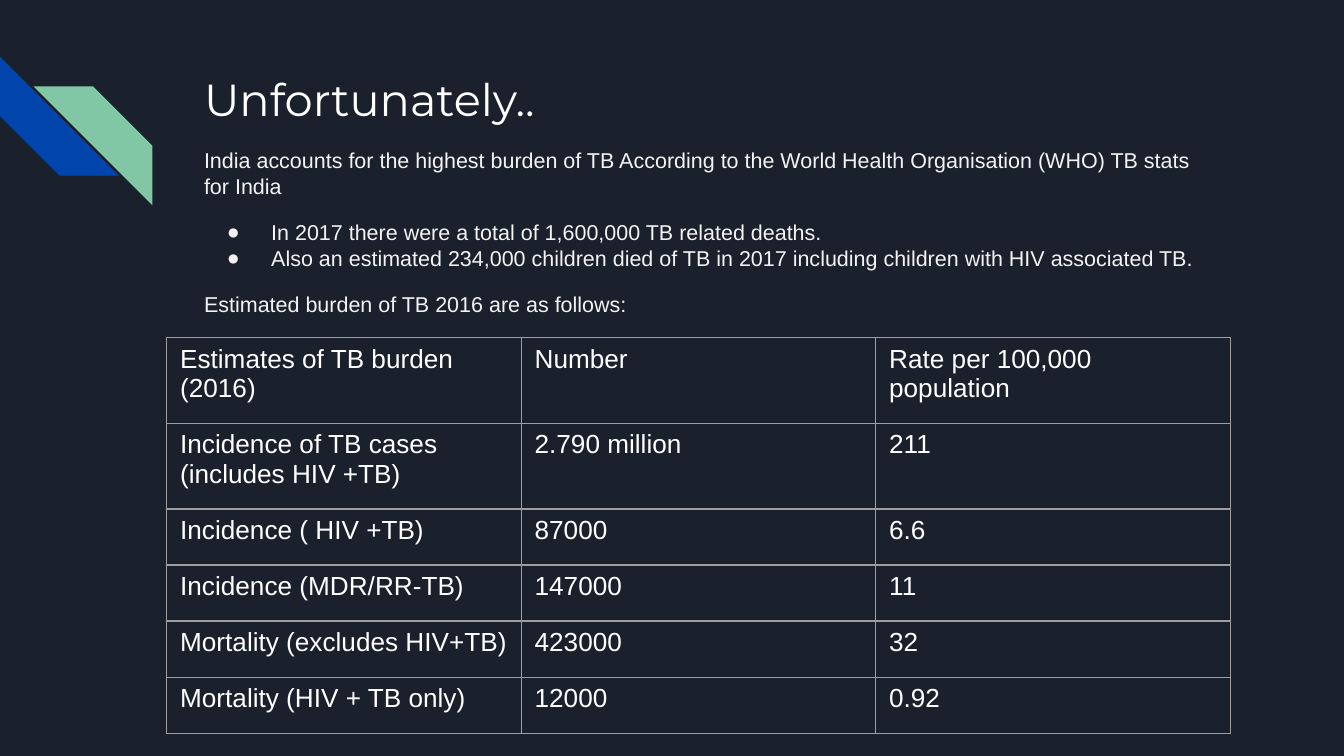
from pptx import Presentation
from pptx.dml.color import RGBColor
from pptx.enum.shapes import MSO_SHAPE
from pptx.enum.text import MSO_ANCHOR
from pptx.oxml.xmlchemy import OxmlElement
from pptx.util import Inches, Pt

COLUMNS, ROWS = 100, 56.25  # square grid cells of 0.1 inch, 16:9


def cells(n):
    return Inches(n / 10)


def color(value):
    return RGBColor.from_string(value)


def add_node(parent, tag, **attrs):
    node = OxmlElement(tag)
    for name, value in attrs.items():
        node.set(name, str(value))
    parent.append(node)
    return node


def write(p, text, size=14, font="Arial", fill="FFFFFF", before=0, bullet=None):
    p.space_before = Pt(before)
    r = p.add_run()
    r.text = text
    r.font.size = Pt(size)
    r.font.name = font
    r.font.color.rgb = color(fill)
    if bullet:
        pPr = p._p.get_or_add_pPr()
        pPr.set("marL", str(Inches(0.5)))
        pPr.set("indent", str(-Inches(0.33)))
        add_node(add_node(pPr, "a:buClr"), "a:srgbClr", val=fill)
        add_node(pPr, "a:buFont", typeface="Arial")
        add_node(pPr, "a:buChar", char=bullet)


class Deck:
    background = "1B212C"
    border = "9E9E9E"

    def __init__(self):
        self.prs = Presentation()
        self.prs.slide_width = cells(COLUMNS)
        self.prs.slide_height = cells(ROWS)

    def add_slide(self):
        self.slide = self.prs.slides.add_slide(self.prs.slide_layouts[6])
        fill = self.slide.background.fill
        fill.solid()
        fill.fore_color.rgb = color(self.background)

    def stripe(self, col, row, side, fill, rotation=0, flip=False):
        sp = self.slide.shapes.add_shape(
            MSO_SHAPE.DIAGONAL_STRIPE, cells(col), cells(row), cells(side), cells(side))
        sp.shadow.inherit = False
        sp.fill.solid()
        sp.fill.fore_color.rgb = color(fill)
        sp.line.fill.background()
        sp.rotation = rotation
        if flip:
            sp._element.spPr.xfrm.set("flipH", "1")

    def text(self, col, row, width, height, paragraphs, **style):
        sp = self.slide.shapes.add_textbox(
            cells(col), cells(row), cells(width), cells(height))
        tf = sp.text_frame
        tf.word_wrap = True
        tf.vertical_anchor = MSO_ANCHOR.TOP
        tf.margin_left = tf.margin_right = tf.margin_top = tf.margin_bottom = cells(1)
        for i, (text, extra) in enumerate(paragraphs):
            p = tf.add_paragraph() if i else tf.paragraphs[0]
            write(p, text, **style, **extra)

    def table(self, col, row, col_width, heights, data):
        count = len(data[0])
        table = self.slide.shapes.add_table(
            len(data), count, cells(col), cells(row),
            cells(col_width * count), cells(sum(heights))).table
        table.first_row = table.horz_banding = False
        for column in table.columns:
            column.width = cells(col_width)
        for table_row, height, values in zip(table.rows, heights, data):
            table_row.height = cells(height)
            for cell, value in zip(table_row.cells, values):
                write(cell.text_frame.paragraphs[0], value)
                self.cell_borders(cell)
                cell.fill.background()

    def cell_borders(self, cell):
        tcPr = cell._tc.get_or_add_tcPr()
        for edge in ("a:lnL", "a:lnR", "a:lnT", "a:lnB"):
            line = add_node(tcPr, edge, w=Pt(0.75))
            add_node(add_node(line, "a:solidFill"), "a:srgbClr", val=self.border)


def main():
    deck = Deck()
    deck.add_slide()

    # Corner stripes
    deck.stripe(0, 4.22, 8.84, "0145AC", rotation=270)
    deck.stripe(2.5, 6.43, 8.84, "82C7A5", flip=True)

    # Title and body
    deck.text(14.2, 4.33, 77, 10, [("Unfortunately..", {})], size=24, font="Montserrat")
    deck.text(14.2, 9.94, 77, 31.8, [
        ("India accounts for the highest burden of TB According to the World Health "
         "Organisation (WHO) TB stats for India", {"before": 11}),
        ("In 2017 there were a total of 1,600,000 TB related deaths.",
         {"before": 11, "bullet": "●"}),
        ("Also an estimated 234,000 children died of TB in 2017 including children "
         "with HIV associated TB.", {"bullet": "●"}),
        ("Estimated burden of TB 2016 are as follows:", {"before": 11}),
    ], size=11.5, fill="F3F3F3")

    # Burden table: two tall rows, then four single-line rows
    deck.table(12.4, 25.14, 26.38, [6.37] * 2 + [4.17] * 4, [
        ("Estimates of TB burden (2016)", "Number", "Rate per 100,000 population"),
        ("Incidence of TB cases (includes HIV +TB)", "2.790 million", "211"),
        ("Incidence ( HIV +TB)", "87000", "6.6"),
        ("Incidence (MDR/RR-TB)", "147000", "11"),
        ("Mortality (excludes HIV+TB)", "423000", "32"),
        ("Mortality (HIV + TB only)", "12000", "0.92"),
    ])

    deck.prs.save("out.pptx")


if __name__ == "__main__":
    main()
